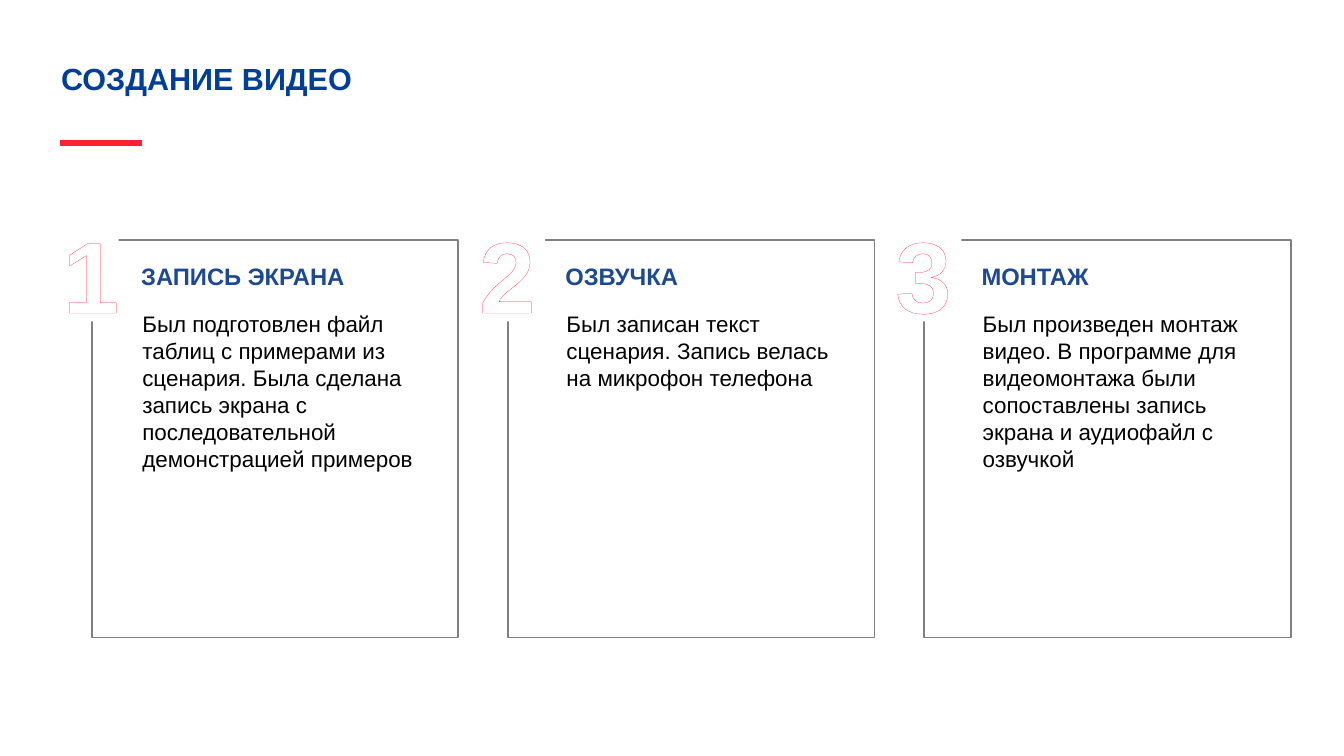
import pptx
import pptx.util
import pptx.dml.color
import pptx.enum.shapes
import pptx.enum.text
import lxml.etree
from pptx.util import Inches

COLORS = {
    "title": "013E99",
    "head": "1D4992",
    "body": "000000",
    "red": "FF1F33",
    "frame": "808080",
    "white": "FFFFFF",
}
STEPS = [
    ("ЗАПИСЬ ЭКРАНА",
     "Был подготовлен файл таблиц с примерами из сценария. Была сделана "
     "запись экрана с последовательной демонстрацией примеров", 0.93, 0.8, 2.76),
    ("ОЗВУЧКА",
     "Был записан текст сценария. Запись велась на микрофон телефона",
     1.1, 0.93, 1.43),
    ("МОНТАЖ",
     "Был произведен монтаж видео. В программе для видеомонтажа были "
     "сопоставлены запись экрана и аудиофайл с озвучкой", 1.1, 0.93, 2.76),
]
LEFT, TOP, STEP = 1.5, 3.93, 6.81
RECT = pptx.enum.shapes.MSO_SHAPE.RECTANGLE


def color(name):
    return pptx.dml.color.RGBColor.from_string(COLORS[name])


def write(shape, text, size, tint, bold=True, space=None, pad=(0.01, 0.01, 0, 0)):
    frame = shape.text_frame
    frame.text = text
    frame.word_wrap = True
    frame.auto_size = pptx.enum.text.MSO_AUTO_SIZE.SHAPE_TO_FIT_TEXT
    frame.vertical_anchor = pptx.enum.text.MSO_ANCHOR.TOP
    (frame.margin_left, frame.margin_top,
     frame.margin_right, frame.margin_bottom) = map(Inches, pad)
    para = frame.paragraphs[0]
    para.alignment = pptx.enum.text.PP_ALIGN.LEFT
    para.space_before = pptx.util.Pt(0)
    if space:
        para.line_spacing = space
    font = para.runs[0].font
    font.name = "Arial"
    font.size = pptx.util.Pt(size)
    font.bold = bold
    font.color.rgb = color(tint)
    return para.runs[0]


def add_title(slide, text):
    title = slide.shapes.title
    title.left, title.top = Inches(0.99), Inches(0.96)
    title.width, title.height = Inches(14.04), Inches(0.59)
    write(title, text, 36, "title", space=1.01)


def add_rule(slide):
    rule = slide.shapes.add_connector(
        pptx.enum.shapes.MSO_CONNECTOR.STRAIGHT,
        Inches(2.33), Inches(2.34), Inches(0.99), Inches(2.34))
    rule.line.color.rgb = color("red")
    rule.line.width = pptx.util.Pt(6)
    props = rule._element.spPr
    lxml.etree.SubElement(props, pptx.oxml.ns.qn("a:effectLst"))


def add_frame(slide, left):
    frame = slide.shapes.add_shape(
        RECT, Inches(left), Inches(TOP), Inches(6), Inches(6.5))
    frame.shadow.inherit = False
    frame.fill.background()
    frame.line.color.rgb = color("frame")
    frame.line.width = pptx.util.Pt(2)


def add_digit(slide, text, left, width):
    patch = slide.shapes.add_shape(
        RECT, Inches(left), Inches(3.02), Inches(width), Inches(2.24))
    patch.shadow.inherit = False
    patch.fill.solid()
    patch.fill.fore_color.rgb = color("white")
    patch.line.fill.background()
    run = write(patch, text, 118.7, "white", space=1.2, pad=(0.02, 0.06, 0, 0))
    edge = pptx.oxml.parse_xml(
        f'<a:ln {pptx.oxml.ns.nsdecls("a")} w="{pptx.util.Pt(2.25)}"><a:solidFill>'
        f'<a:srgbClr val="{COLORS["red"]}"/></a:solidFill></a:ln>')
    run.font._element.insert(0, edge)


def add_text(slide, left, top, width, height):
    return slide.shapes.add_textbox(*map(Inches, (left, top, width, height)))


def add_step(slide, index, head, body, width, inset, height):
    left = LEFT + index * STEP
    add_frame(slide, left)
    add_digit(slide, str(index + 1), left - 0.49, width)
    write(add_text(slide, left + inset, 4.27, 4.64, 0.46),
          head, 28, "head", space=1.01)
    write(add_text(slide, left + inset - 0.07, 5.03, 4.98, height),
          body, 26.4, "body", bold=False, pad=(0.1, 0.05, 0.1, 0.05))


def main():
    deck = pptx.Presentation()
    deck.slide_width, deck.slide_height = Inches(21.99), Inches(12.37)
    slide = deck.slides.add_slide(deck.slide_layouts[5])
    add_title(slide, "СОЗДАНИЕ ВИДЕО")
    add_rule(slide)
    for index, step in enumerate(STEPS):
        add_step(slide, index, *step)
    deck.save("out.pptx")


if __name__ == "__main__":
    main()
